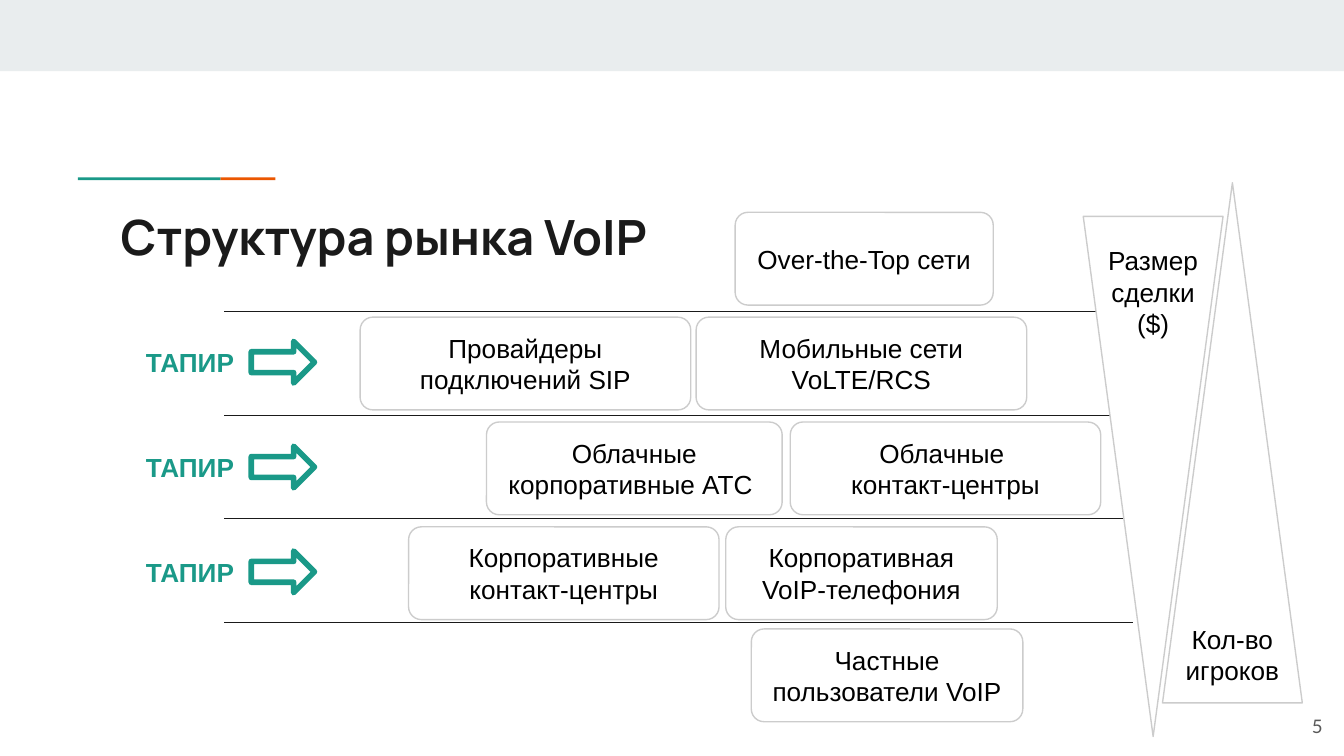
"""Build the VoIP market structure slide."""
from dataclasses import dataclass

from lxml import etree
from pptx import Presentation
from pptx.dml.color import RGBColor
from pptx.enum.shapes import MSO_CONNECTOR, MSO_SHAPE
from pptx.enum.text import MSO_ANCHOR, PP_ALIGN
from pptx.oxml.ns import qn
from pptx.util import Inches, Pt

RECTANGLE = MSO_SHAPE.RECTANGLE
CARD = MSO_SHAPE.ROUNDED_RECTANGLE
TRIANGLE = MSO_SHAPE.ISOSCELES_TRIANGLE
ARROW = MSO_SHAPE.RIGHT_ARROW
STRAIGHT = MSO_CONNECTOR.STRAIGHT
LEFT, CENTER, RIGHT = PP_ALIGN.LEFT, PP_ALIGN.CENTER, PP_ALIGN.RIGHT
TOP, MIDDLE = MSO_ANCHOR.TOP, MSO_ANCHOR.MIDDLE


@dataclass(frozen=True)
class TextStyle:
    size: float
    font: str
    color: str
    bold: bool = False


@dataclass(frozen=True)
class Theme:
    white: str = "FFFFFF"
    band: str = "E9EDEE"
    green: str = "1A9988"
    orange: str = "EB5600"
    ink: str = "1A1A1A"
    outline: str = "CCCCCC"
    thin: float = 0.75
    thick: float = 3
    title: TextStyle = TextStyle(26, "Manrope", "1A1A1A", True)
    body: TextStyle = TextStyle(14, "Arial", "000000")
    label: TextStyle = TextStyle(14, "Arial", "1A9988", True)
    number: TextStyle = TextStyle(10, "Lato", "595959")


THEME = Theme()
WIDTH = 10
HEIGHT = WIDTH * 9 / 16
CARD_TOPS = (1.58, 2.36, 3.14, 3.92, 4.68)
CARD_HEIGHT = 0.69
RULE_TOP, RULE_PITCH = 2.32, 0.77
ARROW_OFFSET, LABEL_OFFSET = 0.18, 0.12
CARD_ROWS = [
    [(5.47, 1.92, "Over-the-Top сети")],
    [(5.18, 2.46, "Мобильные сети VoLTE/RCS"),
     (2.68, 2.46, "Провайдеры подключений SIP")],
    [(5.88, 2.31, "Облачные \nконтакт-центры"),
     (3.62, 2.2, "Облачные корпоративные АТС ")],
    [(3.04, 2.31, "Корпоративные контакт-центры"),
     (5.4, 2.02, "Корпоративная VoIP-телефония")],
    [(5.59, 2.02, "Частные пользователи VoIP")],
]
SUPPLIER_ROWS = (1, 2, 3)


def write_text(shape, paragraphs, style, align, anchor):
    """Fill a shape with styled paragraphs, breaking lines at newlines."""
    frame = shape.text_frame
    frame.word_wrap = True
    frame.vertical_anchor = anchor
    frame.margin_left = frame.margin_right = Inches(0.1)
    frame.margin_top = frame.margin_bottom = Inches(0.1)
    for index, text in enumerate(paragraphs):
        paragraph = frame.add_paragraph() if index else frame.paragraphs[0]
        paragraph.alignment = align
        for position, line in enumerate(text.split("\n")):
            if position:
                paragraph.add_line_break()
            run = paragraph.add_run()
            run.text = line
            run.font.size = Pt(style.size)
            run.font.name = style.font
            run.font.bold = style.bold
            run.font.color.rgb = RGBColor.from_string(style.color)


def add_text(slide, box, paragraphs, style, align=LEFT, anchor=TOP):
    """Add a text box."""
    shape = slide.shapes.add_textbox(*map(Inches, box))
    write_text(shape, paragraphs, style, align, anchor)


def add_figure(slide, kind, box, fill, line=None, weight=THEME.thin):
    """Add a flat preset shape and return it."""
    shape = slide.shapes.add_shape(kind, *map(Inches, box))
    shape.shadow.inherit = False
    shape.fill.solid()
    shape.fill.fore_color.rgb = RGBColor.from_string(fill)
    if line:
        shape.line.color.rgb = RGBColor.from_string(line)
        shape.line.width = Pt(weight)
    else:
        shape.line.fill.background()
    return shape


def add_card(slide, row, left, width, text):
    """Add a market segment card to a row."""
    box = (left, CARD_TOPS[row], width, CARD_HEIGHT)
    card = add_figure(slide, CARD, box, THEME.white, THEME.outline)
    card.adjustments[0] = 0.138
    write_text(card, [text], THEME.body, CENTER, MIDDLE)


def add_rule(slide, row):
    """Add the line below a market row."""
    y = Inches(RULE_TOP + row * RULE_PITCH)
    rule = slide.shapes.add_connector(STRAIGHT, Inches(1.67), y, Inches(8.43), y)
    rule.line.color.rgb = RGBColor.from_string(THEME.ink)
    rule.line.width = Pt(THEME.thin)
    etree.SubElement(rule._element.spPr, qn("a:effectLst"))


def add_supplier(slide, row):
    """Add the supplier label and its arrow to a row."""
    arrow_box = (1.87, CARD_TOPS[row] + ARROW_OFFSET, 0.47, 0.31)
    add_figure(slide, ARROW, arrow_box, THEME.white, THEME.green, THEME.thick)
    label_box = (0.8, CARD_TOPS[row] + LABEL_OFFSET, 1.04, 0.43)
    add_text(slide, label_box, ["ТАПИР"], THEME.label, RIGHT)


def add_wedge(slide, left, top, rotation, text_box, paragraphs):
    """Add a tall triangle with its caption."""
    box = (left, top, 1.04, 3.87)
    wedge = add_figure(slide, TRIANGLE, box, THEME.white, THEME.outline)
    wedge.rotation = rotation
    add_text(slide, text_box, paragraphs, THEME.body, CENTER, MIDDLE)


def main():
    """Build and save the slide."""
    presentation = Presentation()
    presentation.slide_width = Inches(WIDTH)
    presentation.slide_height = Inches(HEIGHT)
    slide = presentation.slides.add_slide(presentation.slide_layouts[6])

    add_figure(slide, RECTANGLE, (0, 0, WIDTH, 0.53), THEME.band)
    add_figure(slide, RECTANGLE, (1.64, 1.32, 0.41, 0.02), THEME.orange)
    add_figure(slide, RECTANGLE, (0.58, 1.32, 1.06, 0.02), THEME.green)
    add_text(slide, (0.8, 1.44, 8.41, 0.59), ["Структура рынка VoIP"], THEME.title)
    add_text(slide, (9.34, 5.19, 0.6, 0.43), ["5"], THEME.number, RIGHT, MIDDLE)

    for row, cards in enumerate(CARD_ROWS):
        for left, width, text in cards:
            add_card(slide, row, left, width, text)
    for row in range(len(CARD_ROWS) - 1):
        add_rule(slide, row)
    add_wedge(slide, 8.65, 1.36, 0, (8.57, 4.6, 1.2, 0.54), ["Кол-во\nигроков"])
    add_wedge(slide, 8.06, 1.61, 180, (8.06, 1.9, 1.04, 0.54),
              ["Размер", "сделки ($)"])
    for row in SUPPLIER_ROWS:
        add_supplier(slide, row)

    presentation.save("out.pptx")


if __name__ == "__main__":
    main()
